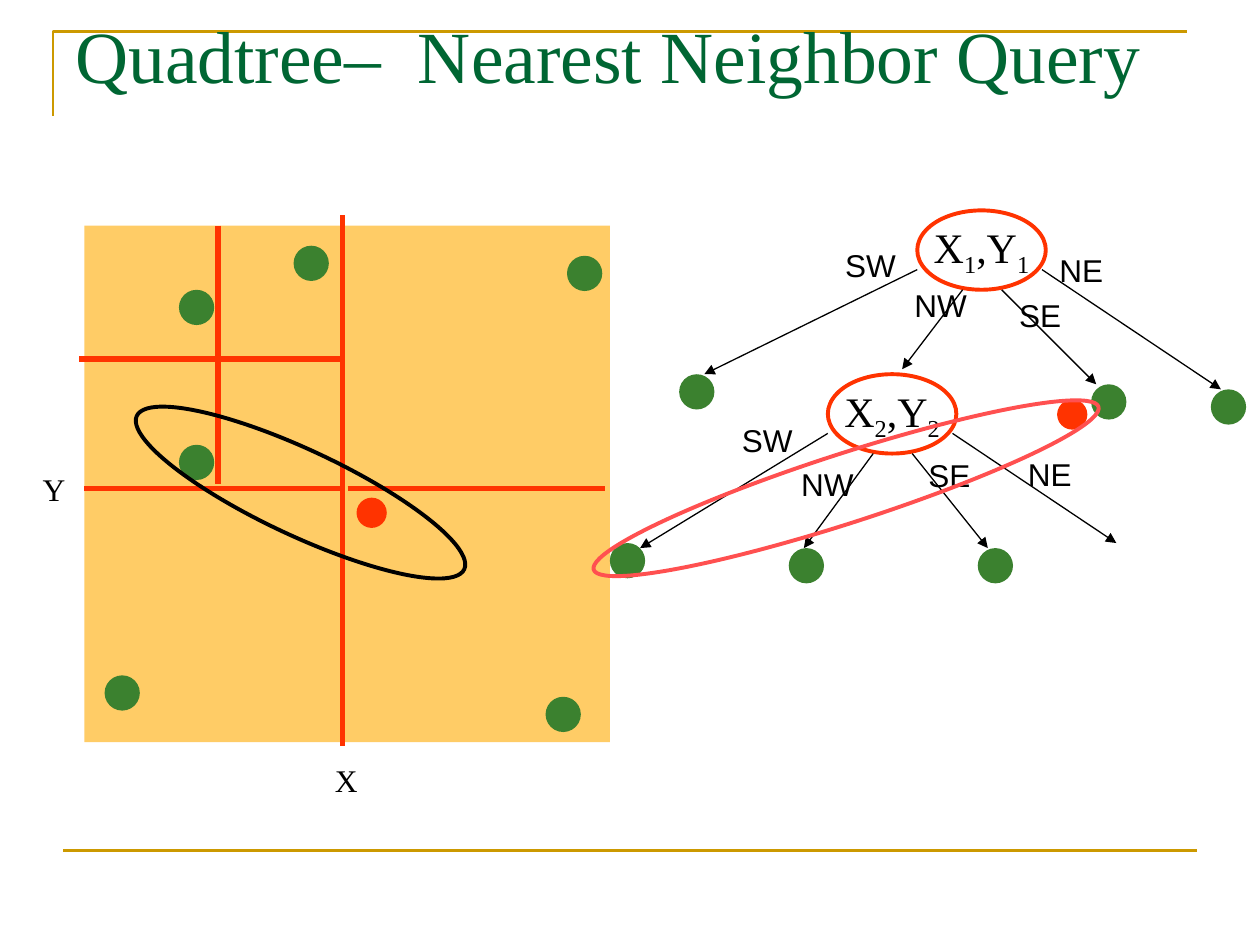
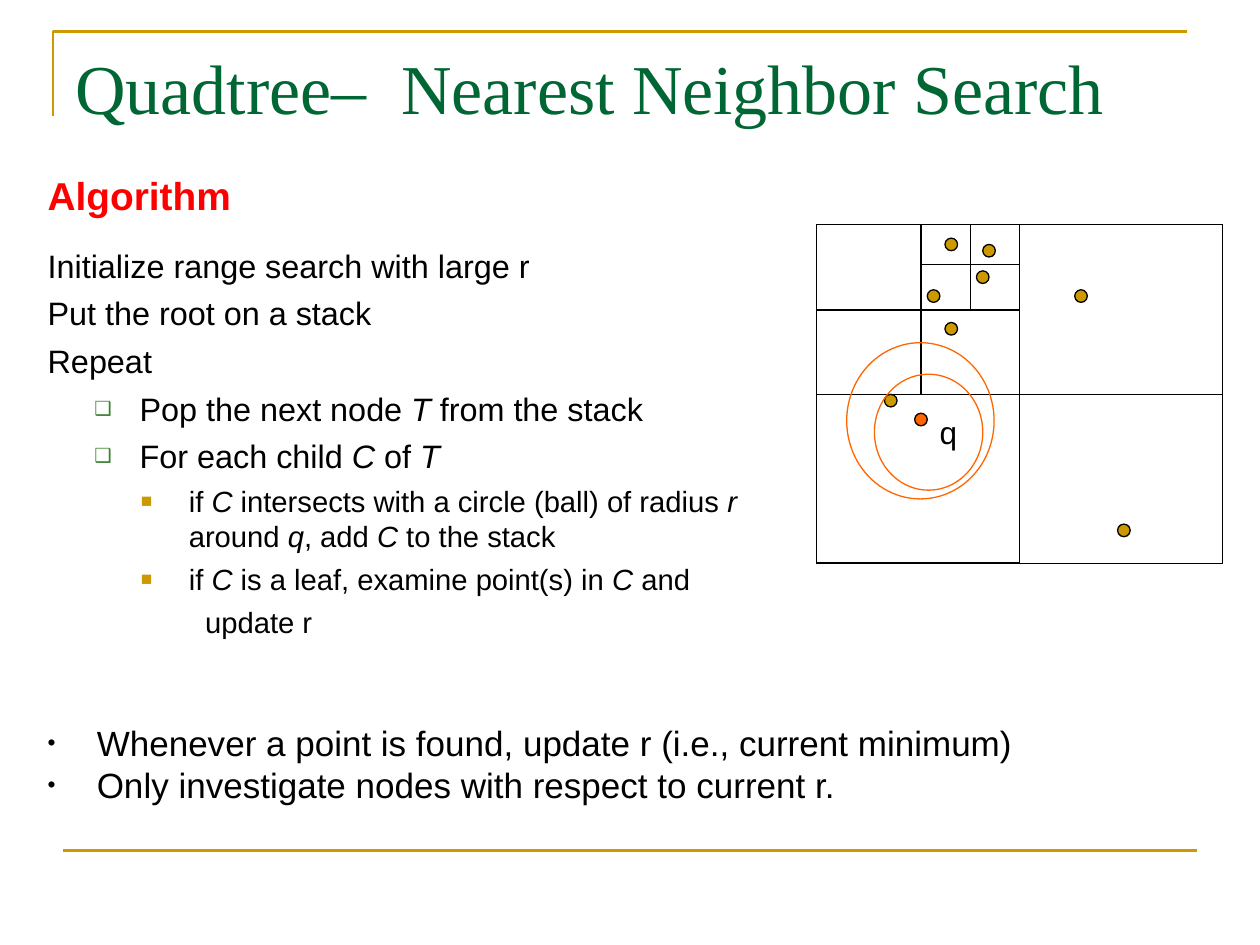
from lxml import etree
from pptx import Presentation
from pptx import util as u
from pptx.dml.color import RGBColor
from pptx.enum import shapes, text
from pptx.oxml.ns import qn

PX = 9144  # 100 px to the inch
GOLD = RGBColor(0xCC, 0x99, 0x00)
TITLE_GREEN = RGBColor(0x00, 0x66, 0x33)
LEAF_GREEN = RGBColor(0x3B, 0x81, 0x2F)
SAND = RGBColor(0xFF, 0xCC, 0x66)
SPLIT_RED = RGBColor(0xFF, 0x33, 0x00)
PALE_RED = RGBColor(0xFF, 0x50, 0x50)
HEADING_RED = RGBColor(0xFF, 0x00, 0x00)
ORANGE = RGBColor(0xFF, 0x66, 0x00)
BLACK = RGBColor(0x00, 0x00, 0x00)
SERIF, SANS = "Times New Roman", "Arial"
OVAL, RECT = shapes.MSO_SHAPE.OVAL, shapes.MSO_SHAPE.RECTANGLE
DOT = shapes.MSO_SHAPE.FLOWCHART_CONNECTOR
ITALIC, SUBSCRIPT = ("*", "i", "1"), ("_", "baseline", "-25000")
LEAF, QUERY, POINT = 28, 24, 10  # dot diameters


def px(*values):
    return [round(v * PX) for v in values]


def style(sp, fill=None, line=None, width=0.75):
    sp.shadow.inherit = False
    if fill is None:
        sp.fill.background()
    else:
        sp.fill.solid()
        sp.fill.fore_color.rgb = fill
    if line is None:
        sp.line.fill.background()
    else:
        sp.line.color.rgb = line
        sp.line.width = u.Pt(width)


def add_shape(s, kind, box, fill=None, line=None, width=0.75, rotation=0):
    sp = s.shapes.add_shape(kind, *px(*box))
    sp.rotation = rotation
    style(sp, fill, line, width)
    return sp


def add_line(s, start, end, color=BLACK, width=0.75, arrow=False):
    c = s.shapes.add_connector(shapes.MSO_CONNECTOR.STRAIGHT, *px(*start, *end))
    c.line.color.rgb = color
    c.line.width = u.Pt(width)
    if arrow:
        etree.SubElement(c.line._get_or_add_ln(), qn("a:tailEnd"), type="triangle")
    etree.SubElement(c._element.spPr, qn("a:effectLst"))


def add_runs(p, marked, size, font=SANS, color=BLACK, bold=False, mark=ITALIC):
    """Write the text, giving every stretch between two marks its attribute."""
    sign, attribute, value = mark
    for i, part in enumerate(marked.split(sign)):
        if not part:
            continue
        r = p.add_run()
        r.text = part
        r.font.size = u.Pt(size)
        r.font.name = font
        r.font.color.rgb = color
        r.font.bold = bold
        if i % 2:
            r._r.get_or_add_rPr().set(attribute, value)


def add_box(s, box, inset=5):
    tf = s.shapes.add_textbox(*px(*box)).text_frame
    tf.word_wrap = True
    tf.margin_left, tf.margin_right, tf.margin_top, tf.margin_bottom = px(10, 10, inset, inset)
    return tf


def add_label(s, label, x, y, font=SANS):
    add_runs(add_box(s, (x, y, 80, 40)).paragraphs[0], label, 18, font)


def add_paragraph(tf, first, marked, size, before=0, margin=0, hang=0, bullet=None, **look):
    """bullet is (character, colour, percent of the text size)."""
    p = tf.paragraphs[0] if first else tf.add_paragraph()
    p.space_before = u.Pt(before)
    pPr = p._p.get_or_add_pPr()
    pPr.set("marL", str(margin * PX))
    pPr.set("indent", str(-hang * PX))
    if bullet:
        char, color, percent = bullet
        clr = etree.SubElement(pPr, qn("a:buClr"))
        etree.SubElement(clr, qn("a:srgbClr"), val=str(color))
        etree.SubElement(pPr, qn("a:buSzPct"), val=str(percent * 1000))
        etree.SubElement(pPr, qn("a:buFont"), typeface=SANS)
        etree.SubElement(pPr, qn("a:buChar"), char=char)
    add_runs(p, marked, size, **look)


def new_slide(prs, title, size, title_top):
    """Blank slide with the gold corner, the footer rule and a title."""
    s = prs.slides.add_slide(prs.slide_layouts[6])
    fb = s.shapes.build_freeform(42, 92, scale=PX)
    fb.add_line_segments([(42, 25), (942, 25)], close=False)
    style(fb.convert_to_shape(), line=GOLD, width=1.5)
    add_line(s, (50, 675), (950, 675), GOLD, 1.5)
    tf = add_box(s, (50, title_top, 920, 90), inset=0)
    add_runs(tf.paragraphs[0], title, size, SERIF, TITLE_GREEN)
    return s


def add_dots(s, kind, size, fill, corners, line=None):
    for x, y in corners:
        add_shape(s, kind, (x, y, size, size), fill, line)


def add_node(s, x, y, index, branches):
    """Tree node whose branches are (label, label corner, arrow tip)."""
    sp = add_shape(s, OVAL, (x, y, 102, 63), line=SPLIT_RED, width=2.25)
    tf = sp.text_frame
    tf.word_wrap = False
    tf.vertical_anchor = text.MSO_ANCHOR.MIDDLE
    p = tf.paragraphs[0]
    p.alignment = text.PP_ALIGN.CENTER
    add_runs(p, f"X_{index}_,Y_{index}_", 24, SERIF, mark=SUBSCRIPT)
    exits = [(0, 47), (36, 63), (67, 63), (99, 47)]
    for (dx, dy), (label, corner, tip) in zip(exits, branches):
        add_line(s, (x + dx, y + dy), tip, arrow=True)
        add_label(s, label, *corner)


def add_query_slide(prs):
    s = new_slide(prs, "Quadtree–  Nearest Neighbor Query", 42, 8)

    add_shape(s, RECT, (67, 179, 417, 410), SAND)
    add_dots(s, OVAL, LEAF, LEAF_GREEN,
             [(83, 536), (142, 353), (142, 230), (233, 195), (433, 553)])
    splits = [((272, 171), (272, 592)), ((67, 388), (272, 388)),
              ((173, 179), (173, 384)), ((63, 285), (272, 285)),
              ((276, 388), (480, 388))]
    for start, end in splits:
        add_line(s, start, end, SPLIT_RED, 3)
    add_label(s, "X", 256, 599, SERIF)
    add_label(s, "Y", 24, 368, SERIF)
    add_dots(s, OVAL, LEAF, LEAF_GREEN, [(450, 203)])
    add_dots(s, OVAL, QUERY, SPLIT_RED, [(283, 395)])
    add_shape(s, OVAL, (95, 357, 287, 68), line=BLACK, width=2.25, rotation=25.1)

    add_node(s, 728, 167, 1, [("SW", (661, 190), (559, 297)),
                              ("NW", (716, 222), (716, 293)),
                              ("SE", (799, 230), (870, 305)),
                              ("NE", (831, 194), (969, 309))])
    add_node(s, 657, 297, 2, [("SW", (579, 329), (508, 435)),
                              ("NW", (626, 364), (638, 435)),
                              ("SE", (727, 357), (784, 435)),
                              ("NE", (806, 356), (886, 431))])
    add_dots(s, OVAL, LEAF, LEAF_GREEN,
             [(539, 297), (866, 305), (961, 309), (626, 435), (484, 431), (776, 435)])
    add_dots(s, OVAL, QUERY, SPLIT_RED, [(839, 317)])
    add_shape(s, OVAL, (461, 360, 421, 55), line=PALE_RED, width=2.25, rotation=342.1)


def add_algorithm(s):
    step = dict(size=18.5, before=5)
    sub = dict(step, margin=73, hang=36, bullet=("❑", LEAF_GREEN, 60))
    detail = dict(size=16.7, before=4.5, margin=112, hang=38, bullet=("■", GOLD, 65))
    lines = [
        ("Algorithm", dict(size=22.2, color=HEADING_RED, bold=True)),
        ("Initialize range search with large r", dict(step, before=16)),
        ("Put the root on a stack", step),
        ("Repeat", step),
        ("Pop the next node *T* from the stack", sub),
        ("For each child *C* of *T*", sub),
        ("if *C* intersects with a circle (ball) of radius *r* around *q*, "
         "add *C* to the stack", detail),
        ("if *C* is a leaf, examine point(s) in *C *and", detail),
        ("update r", dict(size=16.7, before=4.5, margin=125)),
    ]
    tf = add_box(s, (28, 136, 625, 392), inset=0)
    for i, (line, look) in enumerate(lines):
        add_paragraph(tf, i == 0, line, **look)


def add_search_slide(prs):
    s = new_slide(prs, "Quadtree–  Nearest Neighbor Search", 40, 35)
    add_algorithm(s)

    add_dots(s, DOT, POINT, GOLD,
             [(736, 230), (887, 416), (853, 230), (750, 256), (702, 313)], BLACK)
    cells = [(648, 178, 322, 269), (648, 178, 161, 135), (809, 178, 161, 135),
             (648, 313, 161, 134), (731, 178, 78, 68), (731, 246, 78, 67),
             (648, 178, 83, 68)]
    for cell in cells:
        add_shape(s, RECT, cell, line=BLACK)
    add_line(s, (731, 210), (809, 210))
    add_line(s, (770, 178), (770, 246))
    add_dots(s, DOT, POINT, GOLD, [(780, 194), (775, 215), (750, 189)], BLACK)
    add_dots(s, DOT, POINT, ORANGE, [(726, 328)], BLACK)
    for ball in [(672, 272, 117, 124), (694, 297, 86, 92)]:
        add_shape(s, OVAL, ball, line=ORANGE)
    add_label(s, "q", 736, 323)

    tf = add_box(s, (28, 568, 850, 77))
    notes = ["Whenever a point is found, update r (i.e., current minimum)",
             "Only investigate nodes with respect to current r."]
    for i, note in enumerate(notes):
        add_paragraph(tf, i == 0, note, 20, margin=39, hang=39, bullet=("•", BLACK, 65))


def main():
    prs = Presentation()
    prs.slide_width, prs.slide_height = px(1000, 750)
    add_query_slide(prs)
    add_search_slide(prs)
    prs.save("out.pptx")


if __name__ == "__main__":
    main()
